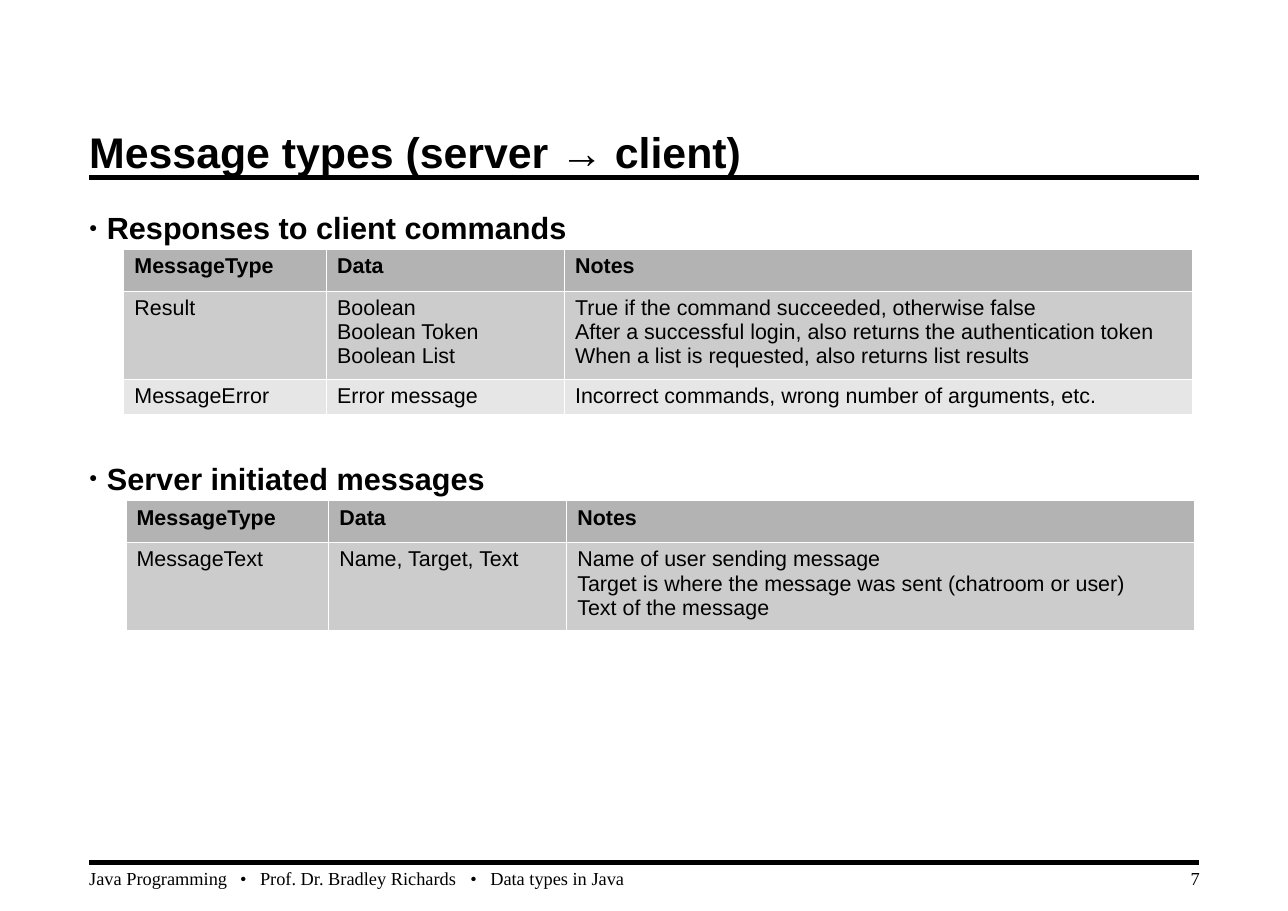
"""Build the slide on message types sent from server to client."""
from dataclasses import dataclass

from lxml.etree import SubElement
from pptx import Presentation
from pptx.dml.color import RGBColor
from pptx.enum.shapes import MSO_CONNECTOR
from pptx.enum.text import MSO_ANCHOR, PP_ALIGN
from pptx.oxml.ns import qn
from pptx.util import Inches, Pt

COLOURS = {
    "ink": "000000",
    "border": "FFFFFF",
    "header": "B3B3B3",
    "odd": "CCCCCC",
    "even": "E6E6E6",
}
FORMATS = {
    "title": {"name": "Arial", "size": Pt(28), "bold": True},
    "heading": {"name": "Arial", "size": Pt(20), "bold": True},
    "header": {"name": "Arial", "size": Pt(14), "bold": True},
    "cell": {"name": "Arial", "size": Pt(14), "bold": False},
    "footer": {"name": "Times New Roman", "size": Pt(12), "bold": False},
}
FRAME = {"margin_left": 0, "margin_right": 0, "margin_top": 0,
         "margin_bottom": 0, "word_wrap": True}
LEFT, RIGHT = 0.81, 10.88
COLUMN_WIDTHS = (1.84, 2.16, 5.7)
COLUMN_TITLES = ("MessageType", "Data", "Notes")
FOOTER_TABS = (1.37, 1.55, 3.46, 3.64)


@dataclass(frozen=True)
class Section:
    """A heading with its table of messages."""

    heading: str
    space_before: float
    left: float
    top: float
    row_heights: tuple[float, ...]
    messages: tuple[tuple[str, str, str], ...]


@dataclass(frozen=True)
class FooterPart:
    """A piece of text under the bottom rule."""

    text: str
    left: float
    width: float
    alignment: PP_ALIGN


SECTIONS = (
    Section("Responses to client commands", 5, 1.12, 2.26, (0.38, 0.8, 0.32), (
        ("Result", "Boolean\nBoolean Token\nBoolean List",
         "True if the command succeeded, otherwise false\n"
         "After a successful login, also returns the authentication token\n"
         "When a list is requested, also returns list results"),
        ("MessageError", "Error message",
         "Incorrect commands, wrong number of arguments, etc."),
    )),
    Section("Server initiated messages", 136, 1.14, 4.54, (0.38, 0.8), (
        ("MessageText", "Name, Target, Text",
         "Name of user sending message\n"
         "Target is where the message was sent (chatroom or user)\n"
         "Text of the message"),
    )),
)
FOOTER = (
    FooterPart("Java Programming\t•\tProf. Dr. Bradley Richards\t•\tData types in Java",
               LEFT, 8.19, PP_ALIGN.LEFT),
    FooterPart("7", 9.06, 1.83, PP_ALIGN.RIGHT),
)


def apply(target, values: dict) -> None:
    """Set each named value on the target."""
    for attribute, value in values.items():
        setattr(target, attribute, value)


def style_text(frame, style: str) -> None:
    """Give every run in the frame the named format."""
    for paragraph in frame.paragraphs:
        for run in paragraph.runs:
            apply(run.font, FORMATS[style])
            run.font.color.rgb = RGBColor.from_string(COLOURS["ink"])


def place(part, left: float, top: float, width: float, height: float) -> None:
    """Move and size a part, in inches."""
    apply(part, {"left": Inches(left), "top": Inches(top),
                 "width": Inches(width), "height": Inches(height)})


def add_rule(slide, height: float) -> None:
    """Draw a full-width horizontal rule."""
    rule = slide.shapes.add_connector(
        MSO_CONNECTOR.STRAIGHT, Inches(LEFT), Inches(height), Inches(RIGHT), Inches(height))
    rule.line.width = Pt(3)
    rule.line.color.rgb = RGBColor.from_string(COLOURS["ink"])
    SubElement(rule._element.spPr, qn("a:effectLst"))


def add_bullet(paragraph) -> None:
    """Give a paragraph a small round hanging bullet."""
    properties = paragraph._p.get_or_add_pPr()
    apply_indent = {"marL": Inches(0.16), "indent": -Inches(0.16)}
    for key, value in apply_indent.items():
        properties.set(key, str(value))
    colour = SubElement(properties, qn("a:buClr"))
    SubElement(colour, qn("a:srgbClr"), val=COLOURS["ink"])
    SubElement(properties, qn("a:buSzPct"), val="45000")
    SubElement(properties, qn("a:buFont"), typeface="Arial")
    SubElement(properties, qn("a:buChar"), char="●")


def add_title(slide, text: str) -> None:
    """Fill the title placeholder."""
    title = slide.shapes.title
    place(title, LEFT, 1.16, 10.08, 0.43)
    title.text_frame.text = text
    apply(title.text_frame, FRAME | {"vertical_anchor": MSO_ANCHOR.MIDDLE})
    title.text_frame.paragraphs[0].alignment = PP_ALIGN.LEFT
    style_text(title.text_frame, "title")


def add_headings(slide) -> None:
    """Fill the body placeholder with the section headings."""
    body = slide.placeholders[1]
    place(body, LEFT, 1.85, 10.08, 5.95)
    frame = body.text_frame
    frame.text = "\n".join(section.heading for section in SECTIONS)
    apply(frame, FRAME)
    for paragraph, section in zip(frame.paragraphs, SECTIONS):
        apply(paragraph, {"line_spacing": 1.15, "space_before": Pt(section.space_before)})
        add_bullet(paragraph)
    style_text(frame, "heading")


def fill_cell(cell, text: str, style: str, fill: str) -> None:
    """Write one table cell with its borders and fill."""
    cell.text = text
    style_text(cell.text_frame, style)
    properties = cell._tc.get_or_add_tcPr()
    for side in ("a:lnL", "a:lnR", "a:lnT", "a:lnB"):
        border = SubElement(properties, qn(side), w=str(Pt(0.06)))
        solid = SubElement(border, qn("a:solidFill"))
        SubElement(solid, qn("a:srgbClr"), val=COLOURS["border"])
    cell.fill.solid()
    cell.fill.fore_color.rgb = RGBColor.from_string(COLOURS[fill])


def add_messages(slide, section: Section) -> None:
    """Draw the table of one section."""
    rows = (COLUMN_TITLES, *section.messages)
    table = slide.shapes.add_table(
        len(rows), len(COLUMN_TITLES), Inches(section.left), Inches(section.top),
        Inches(sum(COLUMN_WIDTHS)), Inches(sum(section.row_heights))).table
    table.horz_banding = False
    for column, width in zip(table.columns, COLUMN_WIDTHS):
        column.width = Inches(width)
    for index, (row, height, texts) in enumerate(zip(table.rows, section.row_heights, rows)):
        row.height = Inches(height)
        style = "cell" if index else "header"
        fill = ("even", "odd")[index % 2] if index else "header"
        for cell, text in zip(row.cells, texts):
            fill_cell(cell, text, style, fill)


def add_footer(slide, part: FooterPart) -> None:
    """Write one part of the footer, with tab stops around its dots."""
    frame = slide.shapes.add_textbox(
        Inches(part.left), Inches(7.87), Inches(part.width), Inches(0.2)).text_frame
    frame.text = part.text
    apply(frame, FRAME | {"vertical_anchor": MSO_ANCHOR.BOTTOM})
    paragraph = frame.paragraphs[0]
    paragraph.alignment = part.alignment
    if "\t" in part.text:
        stops = SubElement(paragraph._p.get_or_add_pPr(), qn("a:tabLst"))
        for position in FOOTER_TABS:
            SubElement(stops, qn("a:tab"), pos=str(Inches(position)), algn="l")
    style_text(frame, "footer")


def main() -> None:
    """Build and save the slide."""
    deck = Presentation()
    apply(deck, {"slide_width": Inches(11.69), "slide_height": Inches(8.27)})
    slide = deck.slides.add_slide(deck.slide_layouts[1])
    for height in (7.83, 1.61):
        add_rule(slide, height)
    add_title(slide, "Message types (server → client)")
    add_headings(slide)
    for section in SECTIONS:
        add_messages(slide, section)
    for part in FOOTER:
        add_footer(slide, part)
    deck.save("out.pptx")


if __name__ == "__main__":
    main()
